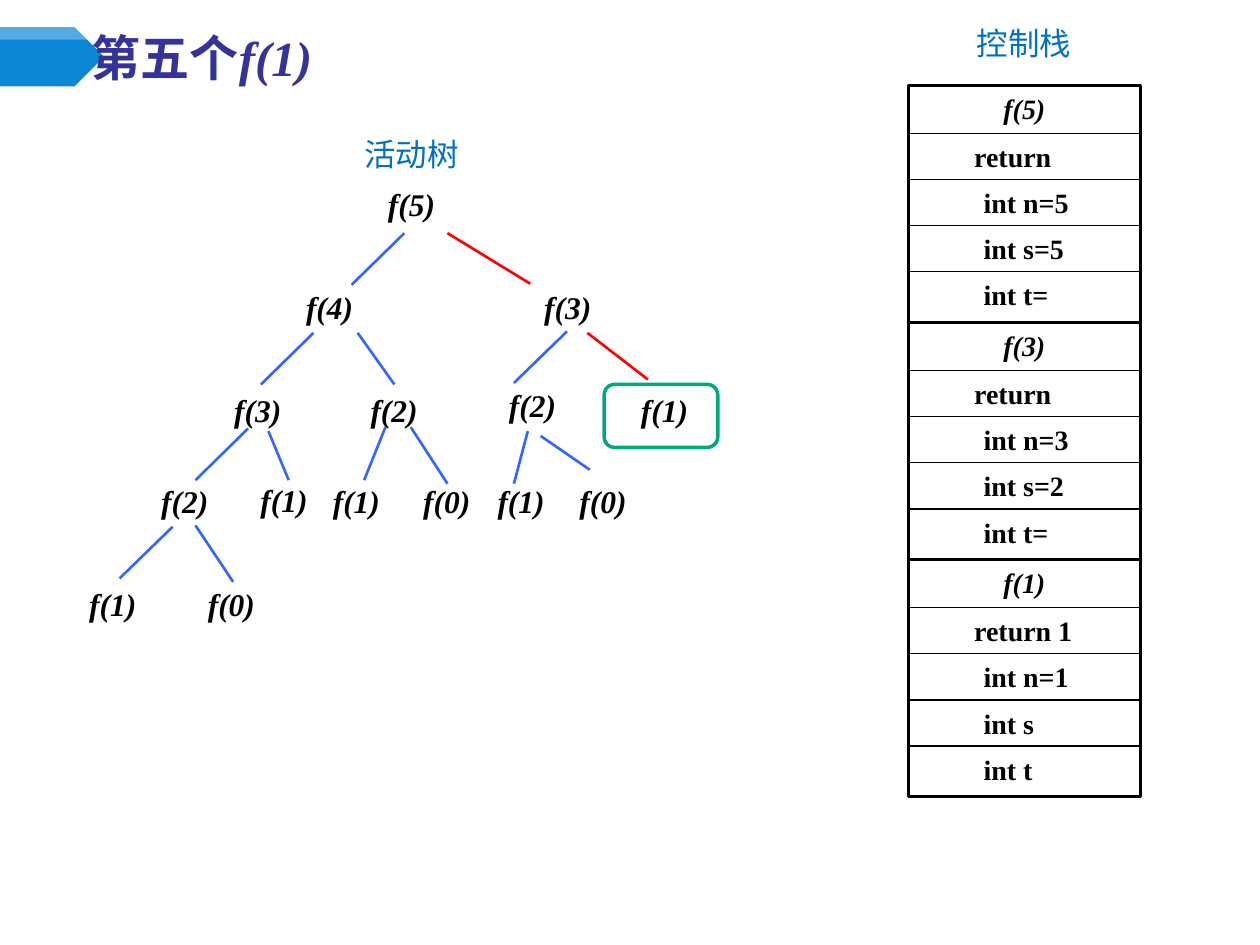
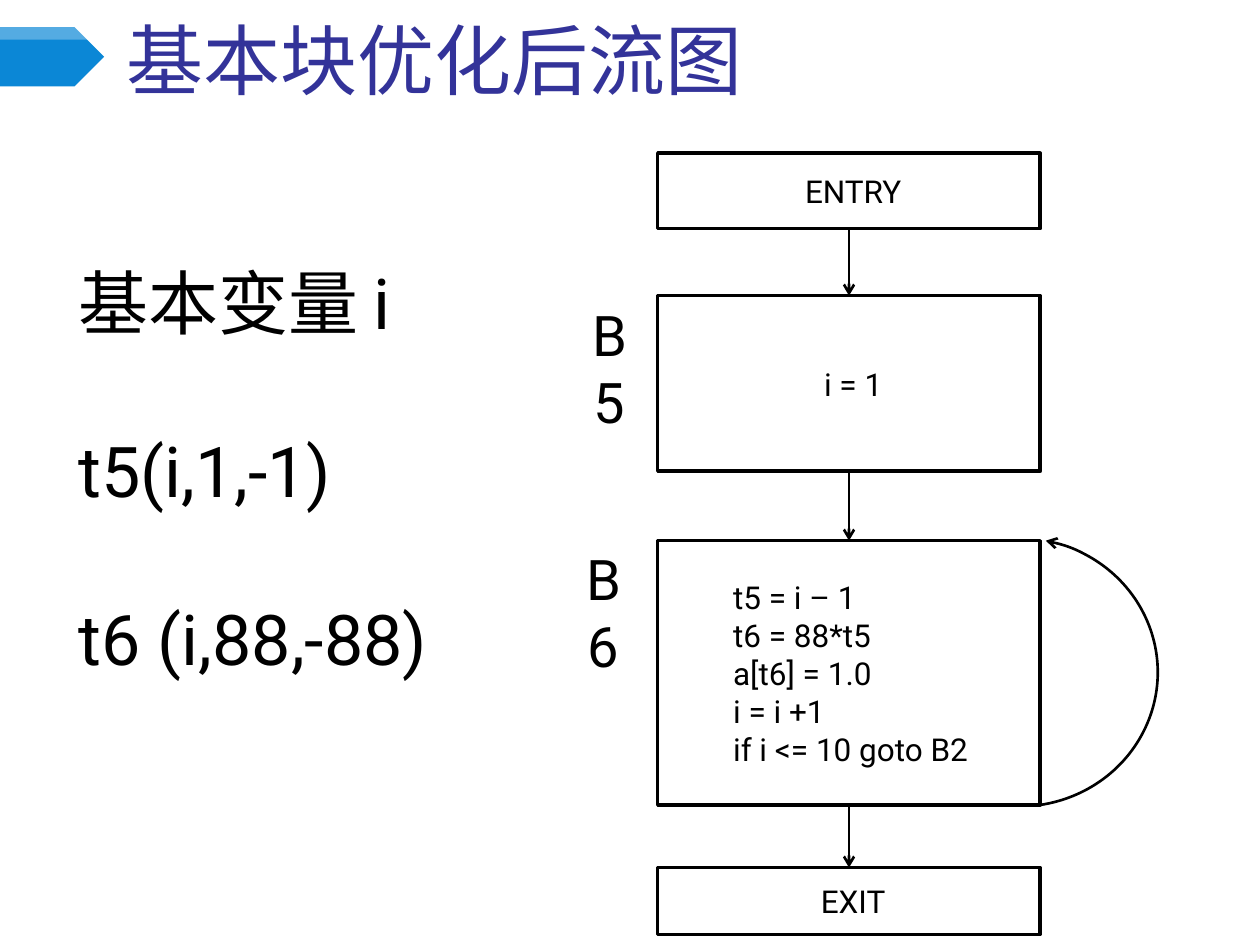
from lxml import etree
from pptx import Presentation
from pptx import util as u
from pptx.dml import color
from pptx.enum import shapes, text
from pptx.oxml import ns

SERIF, SANS, CJK = "Times New Roman", "Roboto", "Noto Sans CJK SC"
BLACK, WHITE, NAVY, SKY = "000000", "FFFFFF", "333399", "0070C0"
BLUE, RED, GREEN, BAND = "3366FF", "FF0000", "00A97C", "0B87D6"
RECT = shapes.MSO_SHAPE.RECTANGLE
PROCESS = shapes.MSO_SHAPE.FLOWCHART_PROCESS
STRAIGHT = shapes.MSO_CONNECTOR.STRAIGHT
Cm = u.Cm


def draw(shape, line=None, width=1.5, fill=None, arrow=None):
    """Set outline, fill and arrowhead, and drop the shadow."""
    if line:
        shape.line.color.rgb = color.RGBColor.from_string(line)
        shape.line.width = u.Pt(width)
        if arrow:
            outline = shape.element.spPr.find(ns.qn("a:ln"))
            etree.SubElement(outline, ns.qn("a:" + arrow), type="arrow")
    else:
        shape.line.fill.background()
    etree.SubElement(shape.element.spPr, ns.qn("a:effectLst"))
    if fill:
        shape.fill.solid()
        shape.fill.fore_color.rgb = color.RGBColor.from_string(fill)
    elif hasattr(shape, "fill"):
        shape.fill.background()
    return shape


def write(para, words, font, size, ink=BLACK, bold=False, italic=False):
    """Add one run to a paragraph."""
    span = para.add_run()
    span.text = words
    span.font.name, span.font.size = font, u.Pt(size)
    span.font.bold, span.font.italic = bold, italic
    span.font.color.rgb = color.RGBColor.from_string(ink)
    etree.SubElement(span.font._element, ns.qn("a:ea"), typeface=CJK)


deck = Presentation()
deck.slide_width, deck.slide_height = Cm(25.4), Cm(19.05)
layout = deck.slide_layouts[5]
tree_page, flow_page = [deck.slides.add_slide(layout) for _ in range(2)]

# Shared band, kept on the layout behind the titles
for depth, (top, height, fill) in enumerate([(0.55, 1.19, BAND), (0.55, 0.25, WHITE)]):
    band = tree_page.shapes.add_shape(shapes.MSO_SHAPE.PENTAGON, 0, Cm(top), Cm(2.1), Cm(height))
    draw(band, fill=fill)
    if fill == WHITE:
        tint = band.element.spPr.find(".//" + ns.qn("a:srgbClr"))
        etree.SubElement(tint, ns.qn("a:alpha"), val="30000")
    layout.shapes.element.insert(2 + depth, band.element)

# Titles
titles = [
    (tree_page, 1.6, 0.08, 28, True, [("第五个", False), ("f(1)", True)]),
    (flow_page, 2.3, 0.46, 44, False, [("基本块优化后流图", False)]),
]
for page, left, top, size, bold, parts in titles:
    title = page.shapes.title
    title.left, title.top, title.width, title.height = Cm(left), Cm(top), Cm(22.56), Cm(1.78)
    frame = title.text_frame
    frame.word_wrap, frame.auto_size = True, text.MSO_AUTO_SIZE.NONE
    frame.vertical_anchor = text.MSO_ANCHOR.BOTTOM
    para = frame.paragraphs[0]
    para.alignment = text.PP_ALIGN.LEFT
    for words, italic in parts:
        write(para, words, SERIF, size, NAVY, bold, italic)

# Headings of the activation tree and the control stack
for words, left, top in [("活动树", 7.09, 2.59), ("控制栈", 19.44, 0.36)]:
    box = tree_page.shapes.add_textbox(Cm(left), Cm(top), Cm(2.41), Cm(1.02))
    write(box.text_frame.paragraphs[0], words, CJK, 18, SKY)

# Activation tree: argument, label position, branch from the parent, branch colour
calls = [
    (5, 7.57, 3.61, None, None),
    (4, 5.92, 5.69, (8.15, 4.7, 7.09, 5.74), BLUE),
    (3, 10.72, 5.69, (9.02, 4.7, 10.69, 5.72), RED),
    (3, 4.47, 7.75, (6.32, 6.71, 5.26, 7.75), BLUE),
    (2, 7.22, 7.75, (7.21, 6.71, 7.95, 7.75), BLUE),
    (2, 10.01, 7.65, (11.43, 6.68, 10.36, 7.72), BLUE),
    (1, 12.67, 7.75, (11.84, 6.71, 13.06, 7.65), RED),
    (2, 3.0, 9.6, (5.0, 8.64, 3.94, 9.68), BLUE),
    (1, 5.0, 9.58, (5.41, 8.69, 5.82, 9.68), BLUE),
    (1, 6.46, 9.6, (7.77, 8.61, 7.34, 9.68), BLUE),
    (0, 8.28, 9.6, (8.28, 8.61, 9.02, 9.75), BLUE),
    (1, 9.78, 9.6, (10.64, 8.69, 10.36, 9.75), BLUE),
    (0, 11.43, 9.6, (10.9, 8.79, 11.89, 9.47), BLUE),
    (1, 1.55, 11.66, (3.48, 10.62, 2.41, 11.66), BLUE),
    (0, 3.94, 11.66, (3.94, 10.59, 4.7, 11.73), BLUE),
]
for argument, left, top, branch, ink in calls:
    if branch:
        ends = [Cm(length) for length in branch]
        draw(tree_page.shapes.add_connector(STRAIGHT, *ends), ink)
    box = tree_page.shapes.add_textbox(Cm(left), Cm(top), Cm(1.6), Cm(1.02))
    box.text_frame.word_wrap = True
    write(box.text_frame.paragraphs[0], f"f({argument})", SERIF, 18, bold=True, italic=True)
current = tree_page.shapes.add_shape(
    shapes.MSO_SHAPE.ROUNDED_RECTANGLE, Cm(12.18), Cm(7.75), Cm(2.29), Cm(1.27))
draw(current, GREEN, 2)

# Control stack: three activation records of five rows
STACK_LEFT, STACK_WIDTH, RECORD_HEIGHT, ROW = 18.32, 4.67, 4.78, 0.93
records = [
    ["f(5)", "return", "int n=5", "int s=5", "int t="],
    ["f(3)", "return", "int n=3", "int s=2", "int t="],
    ["f(1)", "return 1", "int n=1", "int s", "int t"],
]
for level, rows in enumerate(records):
    record_top = 1.72 + level * RECORD_HEIGHT
    record = tree_page.shapes.add_shape(
        RECT, Cm(STACK_LEFT), Cm(record_top), Cm(STACK_WIDTH), Cm(RECORD_HEIGHT))
    draw(record, BLACK, 2)
    for row, words in enumerate(rows):
        row_top = record_top + row * ROW + (0.04 if row else 0)
        if row:
            divider = tree_page.shapes.add_connector(
                STRAIGHT, Cm(STACK_LEFT), Cm(row_top), Cm(STACK_LEFT + STACK_WIDTH), Cm(row_top))
            draw(divider, BLACK, 0.75)
        left = {0: 19.98, 1: 19.39}.get(row, 19.58)
        box = tree_page.shapes.add_textbox(Cm(left), Cm(row_top), Cm(2.72), Cm(0.94))
        box.text_frame.word_wrap = True
        write(box.text_frame.paragraphs[0], words, SERIF, 16, bold=True, italic=row == 0)

# Induction variables
box = flow_page.shapes.add_textbox(Cm(1.33), Cm(5.11), Cm(10.57), Cm(8.81))
box.text_frame.word_wrap = True
for index, words in enumerate(["基本变量 i", "t5(i,1,-1)", "t6 (i,88,-88)"]):
    para = box.text_frame.add_paragraph() if index else box.text_frame.paragraphs[0]
    if index:
        para.space_before = u.Pt(48)
    write(para, words, SANS, 40)

# Flow chart blocks, each joined to the one above
blocks = [
    (3.09, 1.52, ["ENTRY"]),
    (5.96, 3.54, ["i = 1"]),
    (10.9, 5.33, ["t5 = i – 1", "t6 = 88*t5", "a[t6] = 1.0", "i = i +1", "if i <= 10 goto B2"]),
    (17.49, 1.35, ["EXIT"]),
]
above = None
for top, height, lines in blocks:
    block = flow_page.shapes.add_shape(PROCESS, Cm(13.26), Cm(top), Cm(7.71), Cm(height))
    draw(block, BLACK, 2, WHITE)
    frame = block.text_frame
    frame.word_wrap, frame.vertical_anchor = True, text.MSO_ANCHOR.MIDDLE
    frame.margin_left = Cm(1.52 if len(lines) > 1 else 0.42)
    for index, words in enumerate(lines):
        para = frame.add_paragraph() if index else frame.paragraphs[0]
        para.alignment = text.PP_ALIGN.LEFT if len(lines) > 1 else text.PP_ALIGN.CENTER
        write(para, words, SANS, 18)
    if above:
        arrow = flow_page.shapes.add_connector(STRAIGHT, 0, 0, 0, 0)
        arrow.begin_connect(above, 2)
        arrow.end_connect(block, 0)
        draw(arrow, BLACK, arrow="tailEnd")
    above = block

# Loop back to the top of B6
loop = flow_page.shapes.add_shape(
    shapes.MSO_SHAPE.ARC, Cm(17.75), Cm(10.85), Cm(5.59), Cm(5.41))
loop.adjustments[0], loop.adjustments[1] = 168.88, 49.27
draw(loop, BLACK, arrow="headEnd")

# Block names
for words, left, top in [("B5", 11.39, 5.93), ("B6", 11.27, 10.85)]:
    box = flow_page.shapes.add_textbox(Cm(left), Cm(top), Cm(1.8), Cm(1.63))
    box.text_frame.word_wrap = True
    para = box.text_frame.paragraphs[0]
    para.alignment = text.PP_ALIGN.CENTER
    write(para, words, SANS, 32)

deck.save("out.pptx")
